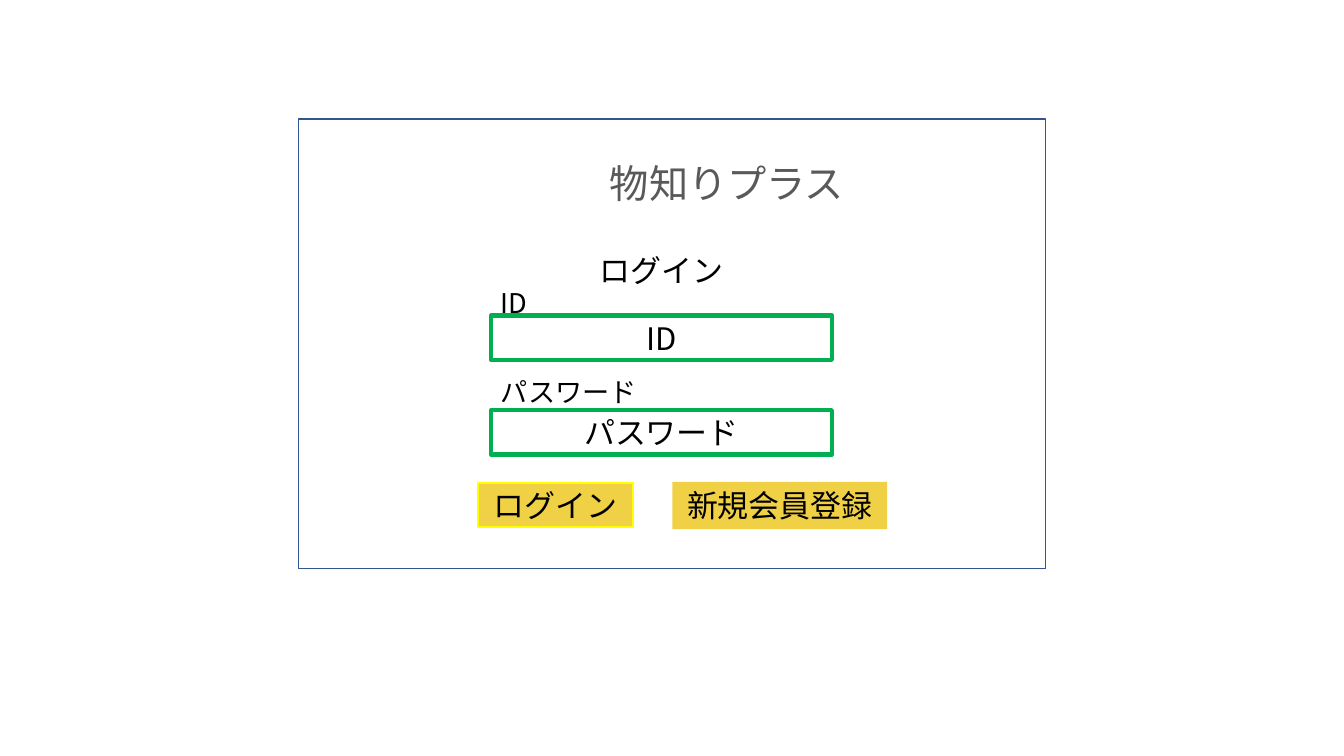
from dataclasses import dataclass
from typing import Optional

from lxml.etree import SubElement
from pptx import Presentation
from pptx.dml.color import RGBColor
from pptx.enum.shapes import MSO_SHAPE as Preset
from pptx.enum.text import MSO_ANCHOR as Anchor, MSO_AUTO_SIZE as AutoSize, PP_ALIGN as Align
from pptx.oxml.ns import qn
from pptx.util import Inches, Pt

FONT = "Noto Sans CJK JP"
BLACK = RGBColor(0x00, 0x00, 0x00)
GREY = RGBColor(0x59, 0x59, 0x59)
NAVY = RGBColor(0x32, 0x54, 0x91)
GREEN = RGBColor(0x00, 0xB0, 0x50)
YELLOW = RGBColor(0xFF, 0xFF, 0x00)
GOLD = RGBColor(0xF0, 0xD0, 0x45)
TITLE_SIZE, BODY_SIZE, LABEL_SIZE = 28, 22.1, 19.4
FIELD_LEFT = 4.87


@dataclass
class Area:
    left: float
    top: float
    width: float
    height: float

    def lengths(self) -> tuple:
        return tuple(Inches(n) for n in (self.left, self.top, self.width, self.height))


@dataclass
class Panel:
    area: Area
    text: str = ""
    fill: Optional[RGBColor] = None
    line: Optional[RGBColor] = None
    line_width: float = 1


@dataclass
class Label:
    area: Area
    text: str
    size: float


def write(shape, text: str, size: float, color: RGBColor, align: Align, anchor: Anchor) -> None:
    frame = shape.text_frame
    frame.text = text
    frame.word_wrap = True
    frame.auto_size = AutoSize.NONE
    frame.vertical_anchor = anchor
    para = frame.paragraphs[0]
    para.alignment = align
    para.space_before = Pt(0)
    for span in para.runs:
        span.font.size = Pt(size)
        span.font.name = FONT
        span.font.color.rgb = color
        # East Asian typeface
        SubElement(span.font._element, qn("a:ea"), typeface=FONT)


def draw_panel(page, panel: Panel) -> None:
    box = page.shapes.add_shape(Preset.RECTANGLE, *panel.area.lengths())
    box.shadow.inherit = False
    if panel.fill is None:
        box.fill.background()
    else:
        box.fill.solid()
        box.fill.fore_color.rgb = panel.fill
    if panel.line is None:
        box.line.fill.background()
    else:
        box.line.color.rgb = panel.line
        box.line.width = Pt(panel.line_width)
    if panel.text:
        write(box, panel.text, BODY_SIZE, BLACK, Align.CENTER, Anchor.MIDDLE)


def draw_label(page, label: Label) -> None:
    box = page.shapes.add_textbox(*label.area.lengths())
    write(box, label.text, label.size, BLACK, Align.LEFT, Anchor.MIDDLE)


def draw_title(page, text: str, area: Area) -> None:
    title = page.shapes.title
    title.left, title.top, title.width, title.height = area.lengths()
    write(title, text, TITLE_SIZE, GREY, Align.LEFT, Anchor.MIDDLE)


WINDOW = Panel(Area(2.96, 1.18, 7.41, 4.46), line=NAVY)
FIELDS = [
    Panel(Area(FIELD_LEFT, top, 3.38, 0.44), text, line=GREEN, line_width=3)
    for text, top in (("ID", 3.13), ("パスワード", 4.07))
]
BUTTONS = [
    Panel(Area(4.74, 4.79, 1.54, 0.44), "ログイン", fill=GOLD, line=YELLOW),
    Panel(Area(6.67, 4.78, 2.13, 0.47), "新規会員登録", fill=GOLD),
]
LABELS = [
    Label(Area(5.85, 2.45, 3.29, 0.47), "ログイン", BODY_SIZE),
    Label(Area(FIELD_LEFT, 2.79, 0.64, 0.43), "ID", LABEL_SIZE),
    Label(Area(FIELD_LEFT, 3.67, 1.71, 0.43), "パスワード", LABEL_SIZE),
]


def main() -> None:
    deck = Presentation()
    deck.slide_width, deck.slide_height = Inches(13.33), Inches(7.5)
    page = deck.slides.add_slide(deck.slide_layouts[5])

    # Window frame and heading
    draw_title(page, "物知りプラス", Area(5.95, 1.53, 2.65, 0.57))
    draw_panel(page, WINDOW)

    # Login form
    for panel in FIELDS + BUTTONS:
        draw_panel(page, panel)
    for label in LABELS:
        draw_label(page, label)

    deck.save("out.pptx")


if __name__ == "__main__":
    main()
